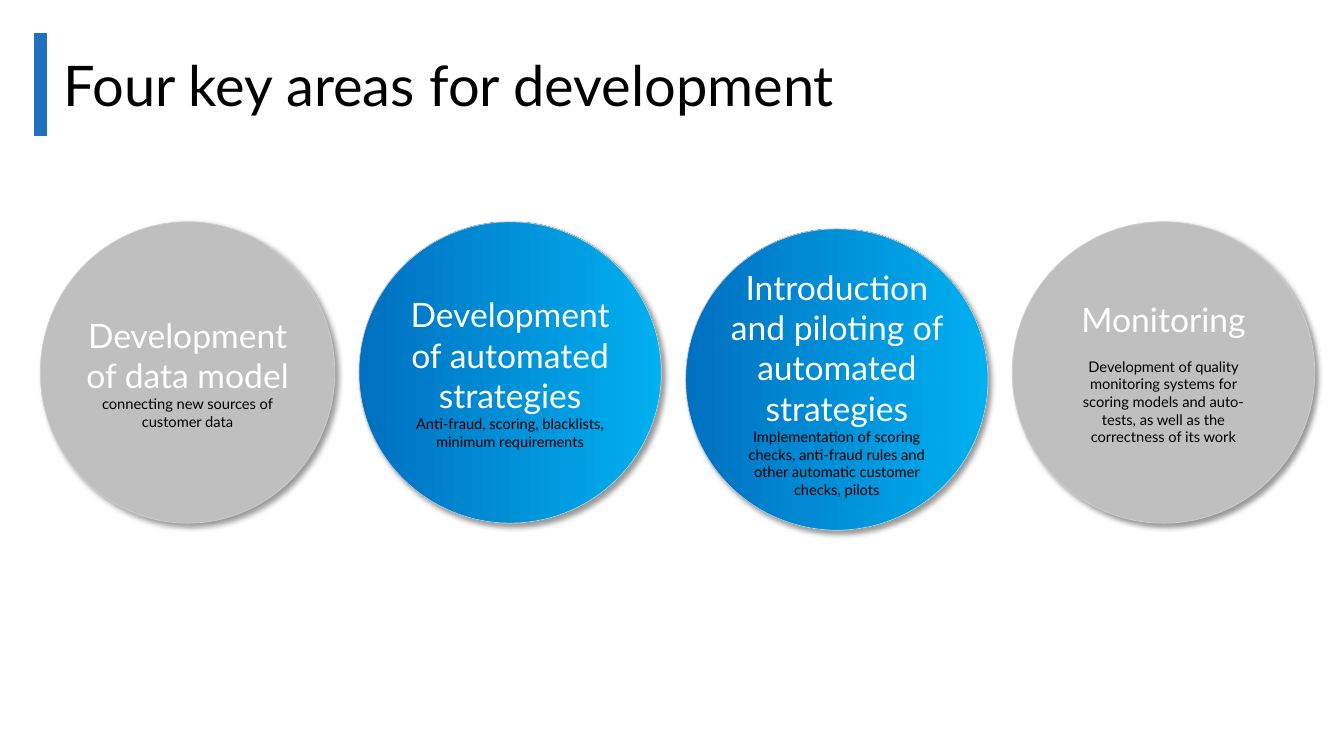
from lxml import etree
from pptx import Presentation
from pptx.dml.color import RGBColor
from pptx.enum.shapes import MSO_CONNECTOR, MSO_SHAPE
from pptx.enum.text import MSO_ANCHOR, PP_ALIGN
from pptx.oxml import parse_xml
from pptx.oxml.ns import nsdecls, qn
from pptx.util import Inches, Pt

FONT = "Lato"
BLACK = RGBColor(0x00, 0x00, 0x00)
WHITE = RGBColor(0xFF, 0xFF, 0xFF)
GRAY = RGBColor(0xBF, 0xBF, 0xBF)
OUTLINE = RGBColor(0xD0, 0xCE, 0xCE)
ACCENT = RGBColor(0x20, 0x70, 0xC0)
BLUE_DARK = RGBColor(0x00, 0x70, 0xC0)
BLUE_LIGHT = RGBColor(0x00, 0xB0, 0xF0)

SHADOW = (
    f'<a:effectLst {nsdecls("a")}>'
    f'<a:outerShdw blurRad="{Pt(4)}" dist="{Pt(3)}" dir="2700000" algn="tl" rotWithShape="0">'
    '<a:srgbClr val="000000"><a:alpha val="40000"/></a:srgbClr>'
    "</a:outerShdw></a:effectLst>"
)

AREAS = [
    dict(left=0.4, top=2.2, width=2.92, active=False,
         heading="Development of data model",
         detail="connecting new sources of customer data"),
    dict(left=3.56, top=2.2, width=3, active=True,
         heading="Development of automated strategies",
         detail="Anti-fraud, scoring, blacklists, minimum requirements"),
    dict(left=6.8, top=2.27, width=3, active=True,
         heading="Introduction and piloting of automated strategies",
         detail="Implementation of scoring checks, anti-fraud rules and "
                "other automatic customer checks, pilots",
         margins=(0, 0.24, 0, 0.18)),
    dict(left=10.04, top=2.2, width=3, active=False,
         heading="Monitoring",
         detail="Development of quality monitoring systems for scoring models "
                "and auto-tests, as well as the correctness of its work",
         margins=(0.1, 0.05, 0.1, 0.05), gap=13),
]


def write(p, text, size, color, align=PP_ALIGN.LEFT):
    p.text = text
    p.alignment = align
    p.font.name = FONT
    p.font.size = Pt(size)
    p.font.color.rgb = color


def add_accent_bar(slide):
    s = slide.shapes.add_connector(
        MSO_CONNECTOR.STRAIGHT, Inches(0.4), Inches(0.33), Inches(0.4), Inches(1.35))
    s.line.color.rgb = ACCENT
    s.line.width = Pt(9.75)
    etree.SubElement(s._element.spPr, qn("a:effectLst"))


def add_title(slide, text):
    s = slide.shapes.add_textbox(Inches(0.53), Inches(0.45), Inches(9.88), Inches(0.77))
    tf = s.text_frame
    tf.word_wrap = True
    write(tf.paragraphs[0], text, 40, BLACK)


def fill_circle(s, active):
    if not active:
        s.fill.solid()
        s.fill.fore_color.rgb = GRAY
        return
    s.fill.gradient()
    s.fill.gradient_angle = 0
    for stop, position, color in zip(s.fill.gradient_stops, (0, 1), (BLUE_DARK, BLUE_LIGHT)):
        stop.position = position
        stop.color.rgb = color


def add_area(slide, left, top, width, active, heading, detail,
             margins=(0, 0.05, 0, 0.05), gap=0):
    s = slide.shapes.add_shape(
        MSO_SHAPE.OVAL, Inches(left), Inches(top), Inches(width), Inches(2.99))
    fill_circle(s, active)
    s.line.color.rgb = OUTLINE
    s.line.width = Pt(0.5)
    s._element.spPr.append(parse_xml(SHADOW))
    tf = s.text_frame
    tf.word_wrap = True
    tf.vertical_anchor = MSO_ANCHOR.MIDDLE
    tf.margin_left, tf.margin_top, tf.margin_right, tf.margin_bottom = map(Inches, margins)
    p = tf.paragraphs[0]
    write(p, heading, 24, WHITE, PP_ALIGN.CENTER)
    p.space_after = Pt(gap)
    write(tf.add_paragraph(), detail, 10.5, BLACK, PP_ALIGN.CENTER)


def main():
    prs = Presentation()
    prs.slide_width = Inches(13.33)
    prs.slide_height = Inches(7.5)
    slide = prs.slides.add_slide(prs.slide_layouts[6])
    add_accent_bar(slide)
    add_title(slide, "Four key areas for development")
    for area in AREAS:
        add_area(slide, **area)
    prs.save("out.pptx")


if __name__ == "__main__":
    main()
